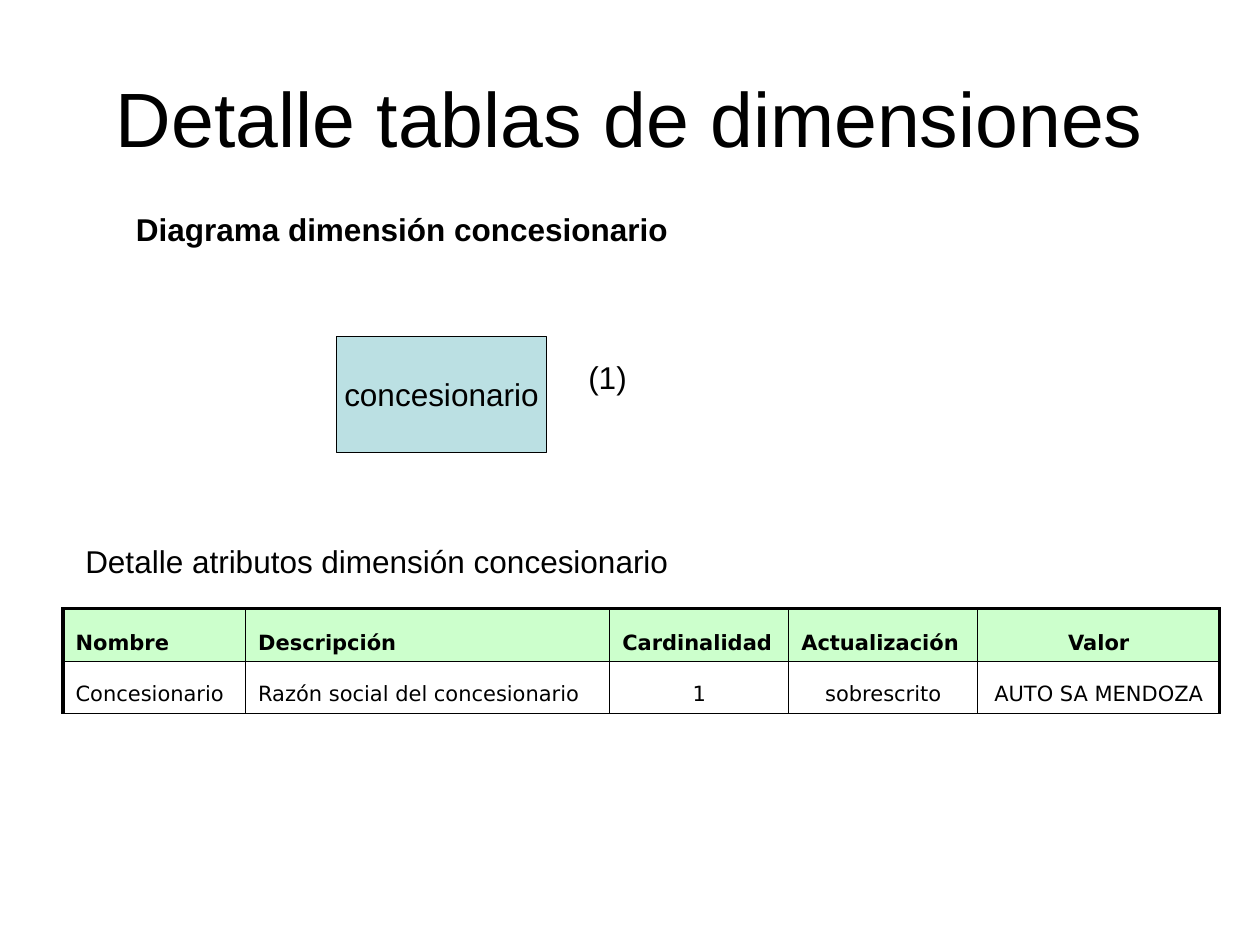
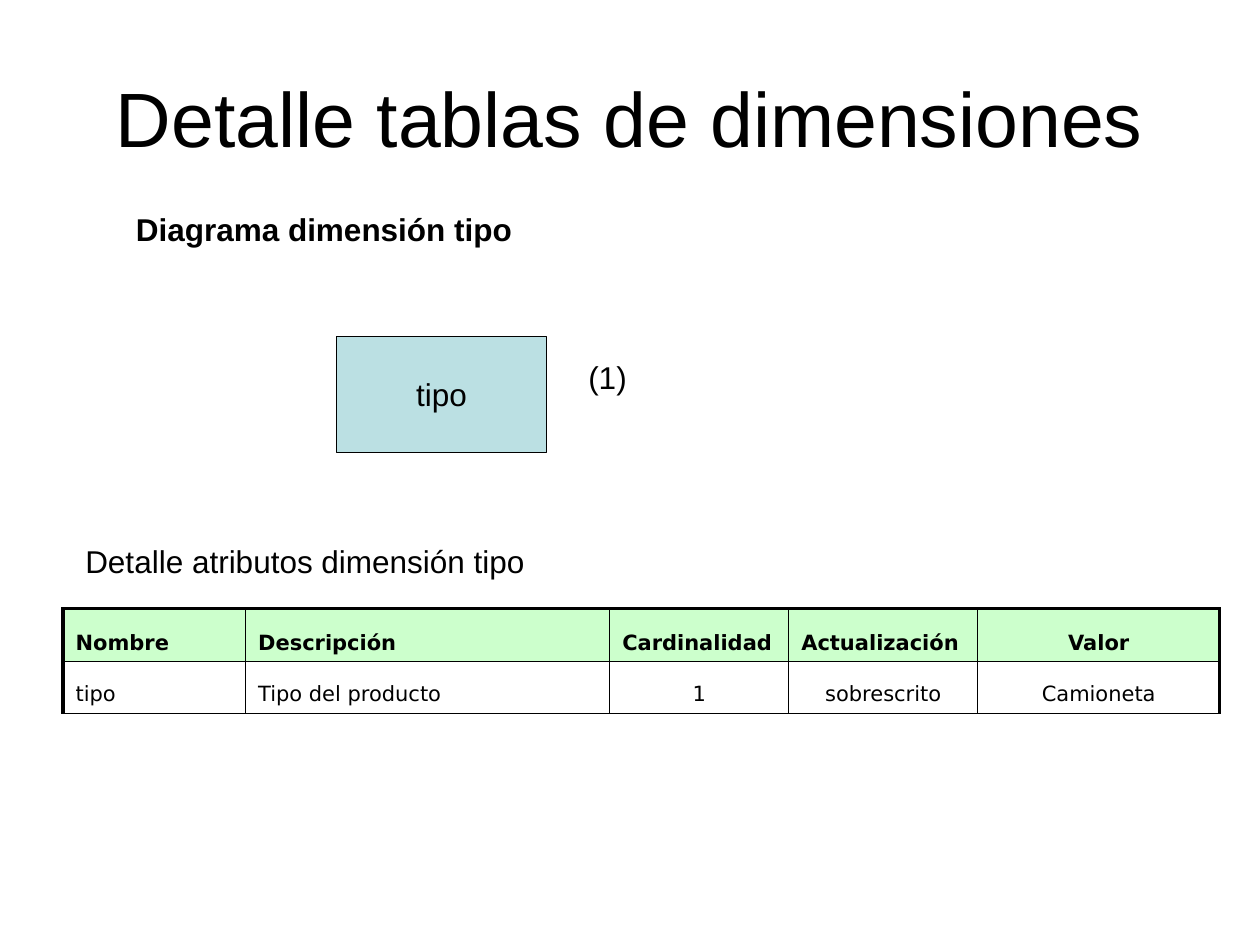
from lxml.etree import SubElement
from pptx import Presentation
from pptx.dml.color import RGBColor
from pptx.enum.shapes import MSO_SHAPE
from pptx.enum.text import MSO_ANCHOR, MSO_AUTO_SIZE, PP_ALIGN
from pptx.oxml.ns import qn
from pptx.util import Cm, Pt

TITLE = "Detalle tablas de dimensiones"
HEADERS = ["Nombre", "Descripción", "Cardinalidad", "Actualización", "Valor"]
DIMENSIONS = [
    {
        "name": "concesionario",
        "values": ["Concesionario", "Razón social del concesionario", "1",
                   "sobrescrito", "AUTO SA MENDOZA"],
        "heading_width": 11.23,
        "detail_width": 12.27,
    },
    {
        "name": "tipo",
        "values": ["tipo", "Tipo del producto", "1", "sobrescrito", "Camioneta"],
        "heading_width": 8.1,
        "detail_width": 9.37,
    },
]

BLACK, ENTITY_FILL, HEADER_FILL = "000000", "BBE0E3", "CCFFCC"
TITLE_FONT = {"name": "Arial", "size": Pt(44), "bold": False}
LABEL_FONT = {"name": "Arial", "size": Pt(18), "bold": False}
HEADING_FONT = {**LABEL_FONT, "bold": True}
CELL_FONT = {"name": "DejaVu Sans", "size": Pt(12), "bold": False}
HEADER_FONT = {**CELL_FONT, "bold": True}

COLUMN_WIDTHS = [3.68, 7.34, 3.61, 3.81, 4.88]
ROW_HEIGHTS = [1.07, 1.04]
LABEL_HEIGHT = 1.02
CELL_INDENT = 0.97
CENTRED_COLUMNS = [{4}, {2, 3, 4}]


def colour(value):
    """Return the colour for a hex string."""
    return RGBColor.from_string(value)


def write(frame, text, font, align=PP_ALIGN.LEFT):
    """Put one formatted paragraph in a text frame and return it."""
    para = frame.paragraphs[0]
    para.alignment = align
    span = para.add_run()
    span.text = text
    for key, value in font.items():
        setattr(span.font, key, value)
    span.font.color.rgb = colour(BLACK)
    return para


def add_title(page):
    """Fill the title placeholder."""
    title = page.shapes.title
    place = {"left": 1.27, "top": 0.76, "width": 22.86, "height": 3.18}
    for key, value in place.items():
        setattr(title, key, Cm(value))
    frame = title.text_frame
    frame.auto_size = MSO_AUTO_SIZE.NONE
    frame.vertical_anchor = MSO_ANCHOR.MIDDLE
    write(frame, TITLE, TITLE_FONT, PP_ALIGN.CENTER)


def add_label(page, text, left, top, width, font=LABEL_FONT):
    """Add a one-line text box that grows with its text."""
    box = page.shapes.add_textbox(Cm(left), Cm(top), Cm(width), Cm(LABEL_HEIGHT))
    box.text_frame.word_wrap = False
    box.text_frame.auto_size = MSO_AUTO_SIZE.SHAPE_TO_FIT_TEXT
    write(box.text_frame, text, font)


def add_entity(page, name):
    """Add the rectangle that stands for the dimension."""
    box = page.shapes.add_shape(
        MSO_SHAPE.RECTANGLE, Cm(6.78), Cm(6.78), Cm(4.24), Cm(2.34))
    box.shadow.inherit = False
    box.fill.solid()
    box.fill.fore_color.rgb = colour(ENTITY_FILL)
    box.line.color.rgb = colour(BLACK)
    box.line.width = Pt(0.75)
    box.text_frame.word_wrap = False
    box.text_frame.vertical_anchor = MSO_ANCHOR.MIDDLE
    write(box.text_frame, name, LABEL_FONT, PP_ALIGN.CENTER)


def add_borders(cell, widths):
    """Draw the cell borders from a dict of side and width in points."""
    properties = cell._tc.get_or_add_tcPr()
    for side, width in widths.items():
        line = SubElement(properties, qn(f"a:ln{side}"), w=str(Pt(width)))
        fill = SubElement(line, qn("a:solidFill"))
        SubElement(fill, qn("a:srgbClr"), val=BLACK)


def add_attributes(page, values):
    """Add the attribute table with a heavier left, top and right edge."""
    rows = [HEADERS, values]
    table = page.shapes.add_table(
        len(rows), len(HEADERS), Cm(1.27), Cm(12.27),
        Cm(sum(COLUMN_WIDTHS)), Cm(sum(ROW_HEIGHTS))).table
    table.first_row = table.horz_banding = False
    for column, width in zip(table.columns, COLUMN_WIDTHS):
        column.width = Cm(width)
    for row, height in zip(table.rows, ROW_HEIGHTS):
        row.height = Cm(height)
    last = len(HEADERS) - 1
    for r, texts in enumerate(rows):
        for c, text in enumerate(texts):
            cell = table.cell(r, c)
            cell.vertical_anchor = MSO_ANCHOR.BOTTOM
            add_borders(cell, {"L": 2 if c == 0 else 1, "R": 2 if c == last else 1,
                               "T": 2 if r == 0 else 1, "B": 1})
            if r == 0:
                cell.fill.solid()
                cell.fill.fore_color.rgb = colour(HEADER_FILL)
            else:
                cell.fill.background()
            align = PP_ALIGN.CENTER if c in CENTRED_COLUMNS[r] else PP_ALIGN.LEFT
            para = write(cell.text_frame, text, CELL_FONT if r else HEADER_FONT, align)
            properties = para._p.get_or_add_pPr()
            properties.set("marL", str(Cm(CELL_INDENT)))
            properties.set("indent", str(-Cm(CELL_INDENT)))


def add_dimension(deck, dimension):
    """Add the page of one dimension."""
    page = deck.slides.add_slide(deck.slide_layouts[5])
    name = dimension["name"]
    add_title(page)
    add_label(page, f"Diagrama dimensión {name}", 2.49, 4.11,
              dimension["heading_width"], HEADING_FONT)
    add_entity(page, name)
    add_label(page, "(1)", 11.61, 7.09, 1.3)
    add_attributes(page, dimension["values"])
    add_label(page, f"Detalle atributos dimensión {name}", 1.47, 10.8,
              dimension["detail_width"])


def main():
    """Build and save the deck."""
    deck = Presentation()
    deck.slide_width, deck.slide_height = Cm(25.4), Cm(19.05)
    for dimension in DIMENSIONS:
        add_dimension(deck, dimension)
    deck.save("out.pptx")


if __name__ == "__main__":
    main()
